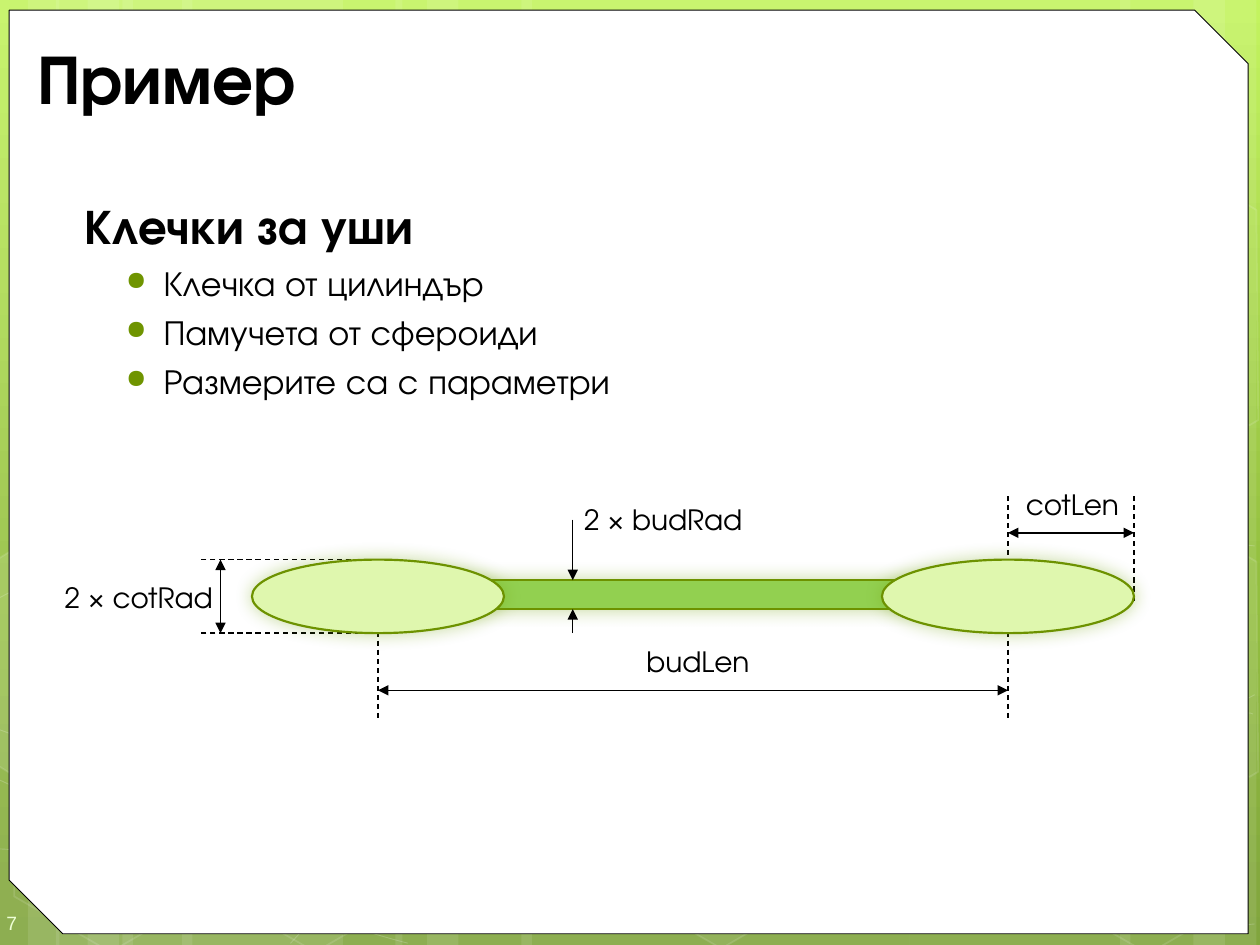
import copy
from dataclasses import dataclass
from typing import NamedTuple, Optional

import pptx
import pptx.dml.color
import pptx.enum.dml
import pptx.enum.shapes
import pptx.enum.text
import pptx.oxml.ns
import pptx.util

Pt = pptx.util.Pt
Align = pptx.enum.text.PP_ALIGN
Shape = pptx.enum.shapes.MSO_SHAPE
qn = pptx.oxml.ns.qn


@dataclass(frozen=True)
class Theme:
    font: str = "TeX Gyre Adventor"
    number_font: str = "Arial"
    ink: str = "000000"
    paper: str = "FFFFFF"
    number: str = "EEFFD6"
    bullet: str = "6F9400"
    outline: str = "6D9200"
    glow: str = "74A510"
    stick: str = "92D050"
    cotton: str = "DFF7AE"
    background: tuple = ((0, "C3F35F"), (0.62, "93BF3F"), (1, "81A53E"))
    title_size: float = 40
    heading_size: float = 28
    bullet_size: float = 20
    label_size: float = 16
    number_size: float = 11


class Dimension(NamedTuple):
    start: tuple
    end: tuple
    head: bool = False
    tail: bool = False
    dashed: bool = False


class Label(NamedTuple):
    text: str
    box: tuple
    alignment: Align


class Hexagon(NamedTuple):
    left: float
    top: float
    fill_alpha: Optional[int] = None


class CutHexagon(NamedTuple):
    points: list
    fill_alpha: Optional[int] = None


THEME = Theme()
BANDS = [(70, 126), (-2, 36), (16, 60), (104, 126), (32, 36), (50, 60),
         (520, 126), (682, 36), (640, 60), (298, 222), (226, 36), (244, 60)]
CURVES = [
    [(-3, 485), (36, 487), (75, 489), (129, 488), (183, 487), (249, 486), (322, 479),
     (394, 472), (496, 458), (562, 444), (628, 431), (696, 409), (717, 397)],
    [(-3, 343), (18, 332), (39, 321), (79, 310), (120, 300), (178, 284), (242, 279),
     (306, 274), (384, 273), (463, 279), (542, 284), (674, 307), (717, 312)],
    [(-4, 444), (83, 484), (170, 523), (233, 539)],
    [(-3, 416), (19, 424), (42, 432), (84, 444), (126, 454), (189, 472), (248, 485),
     (309, 497), (384, 510), (444, 517), (503, 525), (568, 528), (606, 530),
     (644, 533), (654, 531), (672, 531), (690, 531), (704, 529), (717, 528)],
    [(166, 539), (179, 525), (192, 510), (210, 498), (227, 485), (251, 470), (271, 460),
     (291, 450), (304, 446), (330, 438), (356, 431), (405, 421), (430, 416),
     (455, 411), (459, 411), (482, 410), (504, 408), (539, 405), (564, 405),
     (588, 404), (630, 405), (630, 405), (646, 405), (662, 405), (678, 405),
     (691, 405), (703, 406), (710, 407), (716, 408), (714, 407), (716, 408)],
]
HEXAGONS = [Hexagon(349, 424, 6), Hexagon(0, 426), Hexagon(117, 426), Hexagon(593, 427)]
LEFT_CUT = [(-2, 320), (6, 315), (61, 347), (60, 410), (6, 442), (-2, 437)]
RIGHT_CUT = [(659, 349), (713, 318), (718, 321), (719, 441), (714, 444), (658, 413)]
CUT_HEXAGONS = [CutHexagon(LEFT_CUT, 10), CutHexagon(RIGHT_CUT, 4),
                CutHexagon([(x, y - 201) for x, y in RIGHT_CUT])]
BULLETS = ["Клечка от цилиндър", "Памучета от сфероиди", "Размерите са с параметри"]
LEFT, RIGHT, LENGTH, RADIUS = 216, 576, 72, 21
TIP, TOP, BOTTOM = RIGHT + LENGTH, 319.8, 319.8 + 2 * RADIUS
STICK_TOP, STICK_HEIGHT = 331.5, 16.6
DIMENSIONS = (
    [Dimension((x, 283.5), (x, 344), dashed=True) for x in (RIGHT, TIP)]
    + [Dimension((LEFT, y), (114, y), dashed=True) for y in (TOP, BOTTOM)]
    + [Dimension((x, 345.5), (x, 412.5), dashed=True) for x in (LEFT, RIGHT)]
    + [Dimension((LEFT, 394.5), (RIGHT, 394.5), True, True),
       Dimension((RIGHT, 304.5), (TIP, 304.5), True, True),
       Dimension((327.3, BOTTOM), (327.3, STICK_TOP + STICK_HEIGHT), tail=True),
       Dimension((327.3, 297), (327.3, STICK_TOP), tail=True),
       Dimension((126, TOP), (126, BOTTOM), True, True)])
LABELS = [Label("budLen", (331.6, 365, 129, 26.6), Align.CENTER),
          Label("cotLen", (545.6, 275, 129, 26.6), Align.CENTER),
          Label("2 × budRad", (321.3, 283.7, 129, 26.6), Align.LEFT),
          Label("2 × cotRad", (12.2, 328.3, 116.6, 26.6), Align.RIGHT)]


def color(value: str):
    return pptx.dml.color.RGBColor.from_string(value)


def child(parent, tag: str, **attributes):
    node = parent.makeelement(qn(tag), attributes)
    parent.append(node)
    return node


def paint(fill, value: Optional[str], alpha: Optional[int]) -> None:
    if value is None:
        fill.background()
        return
    fill.solid()
    fill.fore_color.rgb = color(value)
    if alpha is not None:
        solid = fill._xPr.find(qn("a:solidFill"))
        child(solid[0], "a:alpha", val=str(alpha * 1000))


def style(shape, fill, line, width=1.0, fill_alpha=None, line_alpha=None) -> None:
    shape.shadow.inherit = False
    paint(shape.fill, fill, fill_alpha)
    paint(shape.line.fill, line, line_alpha)
    if line:
        shape.line.width = Pt(width)


def add_shape(slide, kind, *box: float):
    return slide.shapes.add_shape(kind, *map(Pt, box))


def add_outline(slide, points: list, close: bool):
    scaled = [(Pt(x), Pt(y)) for x, y in points]
    builder = slide.shapes.build_freeform(*scaled[0])
    builder.add_line_segments(scaled[1:], close=close)
    return builder.convert_to_shape()


def add_curve(slide, knots: list) -> None:
    shape = add_outline(slide, knots, False)
    path = shape._element.find(".//" + qn("a:path"))
    segments = path.findall(qn("a:lnTo"))
    for start in range(0, len(segments), 3):
        cubic = child(path, "a:cubicBezTo")
        for segment in segments[start:start + 3]:
            cubic.append(segment[0])
            path.remove(segment)
    style(shape, None, THEME.paper, 0.5, line_alpha=20)


def add_glowing(slide, kind, fill: str, *box: float) -> None:
    shape = add_shape(slide, kind, *box)
    style(shape, fill, THEME.outline, 1.25)
    effects = shape._element.spPr.find(qn("a:effectLst"))
    shadow = child(effects, "a:outerShdw", blurRad=str(Pt(10)), dist="0", dir="2700000",
                   algn="ctr", rotWithShape="0")
    child(child(shadow, "a:srgbClr", val=THEME.glow), "a:alpha", val="40000")


def add_dimension(slide, dimension: Dimension) -> None:
    connector = slide.shapes.add_connector(
        pptx.enum.shapes.MSO_CONNECTOR.STRAIGHT, *map(Pt, dimension.start + dimension.end))
    connector.line.color.rgb = color(THEME.ink)
    connector.line.width = Pt(0.75)
    if dimension.dashed:
        connector.line.dash_style = pptx.enum.dml.MSO_LINE.DASH
    for tag, shown in (("a:headEnd", dimension.head), ("a:tailEnd", dimension.tail)):
        if shown:
            child(connector.line._get_or_add_ln(), tag, type="triangle")
    child(connector._element.spPr, "a:effectLst")


def set_font(paragraph, size: float, bold=False, name=THEME.font, value=THEME.ink) -> None:
    font = paragraph.font
    font.name, font.size, font.bold = name, Pt(size), bold
    font.color.rgb = color(value)


def add_text(slide, *box: float):
    frame = slide.shapes.add_textbox(*map(Pt, box)).text_frame
    frame.word_wrap = True
    return frame


def indent(paragraph, margin: float, first: float = 0):
    properties = paragraph._p.get_or_add_pPr()
    properties.set("marL", str(Pt(margin)))
    properties.set("indent", str(Pt(first)))
    return properties


def add_label(slide, label: Label) -> None:
    paragraph = add_text(slide, *label.box).paragraphs[0]
    paragraph.text, paragraph.alignment = label.text, label.alignment
    indent(paragraph, 5.4)
    set_font(paragraph, THEME.label_size)


def add_background(slide) -> None:
    fill = slide.background.fill
    fill.gradient()
    fill.gradient_angle = 270
    stops = slide.element.find(".//" + qn("a:gsLst"))
    stops.append(copy.deepcopy(stops[-1]))
    for stop, (position, value) in zip(fill.gradient_stops, THEME.background):
        stop.position, stop.color.rgb = position, color(value)
    for left, width in BANDS:
        style(add_shape(slide, Shape.RECTANGLE, left, 0, width, 540), THEME.paper, None,
              fill_alpha=10)
    for knots in CURVES:
        add_curve(slide, knots)
    for hexagon in HEXAGONS:
        shape = add_shape(slide, Shape.HEXAGON, hexagon.left, hexagon.top, 126, 109.5)
        shape.rotation, shape.adjustments[0] = 30, 0.285
        style(shape, hexagon.fill_alpha and THEME.paper, THEME.paper, 1, hexagon.fill_alpha, 12)
    for cut in CUT_HEXAGONS:
        style(add_outline(slide, cut.points, True), cut.fill_alpha and THEME.paper,
              THEME.paper, 1, cut.fill_alpha, 12)
    panel = add_shape(slide, Shape.SNIP_2_DIAG_RECTANGLE, 5.25, 5.8, 708, 527.8)
    panel.adjustments[0], panel.adjustments[1] = 0, 0.058
    style(panel, THEME.paper, THEME.ink, 0.5)


def add_number(slide) -> None:
    frame = add_text(slide, 0, 511, 42, 29)
    frame.margin_left, frame.margin_top, frame.margin_right, frame.margin_bottom = map(
        Pt, (3.6, 10.8, 0, 7.2))
    frame.vertical_anchor = pptx.enum.text.MSO_ANCHOR.MIDDLE
    frame.text = "7"
    set_font(frame.paragraphs[0], THEME.number_size, False, THEME.number_font, THEME.number)


def add_title(slide) -> None:
    title = slide.shapes.title
    title.element.getparent().append(title.element)
    title.left, title.top, title.width, title.height = map(Pt, (14, 18, 682, 51))
    frame = title.text_frame
    frame.text = "Пример"
    frame.auto_size = pptx.enum.text.MSO_AUTO_SIZE.NONE
    frame.vertical_anchor = pptx.enum.text.MSO_ANCHOR.MIDDLE
    frame.paragraphs[0].alignment = Align.LEFT
    set_font(frame.paragraphs[0], THEME.title_size, True)


def add_body(slide) -> None:
    frame = add_text(slide, 36, 108, 678, 426)
    heading = frame.paragraphs[0]
    heading.text = "Клечки за уши"
    indent(heading, 5.4)
    set_font(heading, THEME.heading_size, True)
    for text in BULLETS:
        paragraph = frame.add_paragraph()
        paragraph.text, paragraph.level, paragraph.space_before = text, 1, Pt(4)
        properties = indent(paragraph, 50.4, -21.6)
        child(child(properties, "a:buClr"), "a:srgbClr", val=THEME.bullet)
        child(properties, "a:buSzPct", val="75000")
        child(properties, "a:buChar", char="●")
        set_font(paragraph, THEME.bullet_size)


def main() -> None:
    presentation = pptx.Presentation()
    presentation.slide_width, presentation.slide_height = Pt(720), Pt(540)
    slide = presentation.slides.add_slide(presentation.slide_layouts[5])
    add_background(slide)
    add_number(slide)
    add_title(slide)
    add_body(slide)
    add_glowing(slide, Shape.RECTANGLE, THEME.stick, LEFT, STICK_TOP, RIGHT - LEFT, STICK_HEIGHT)
    guides = [dimension for dimension in DIMENSIONS if dimension.dashed]
    for guide in guides:
        add_dimension(slide, guide)
    for center in (LEFT, RIGHT):
        add_glowing(slide, Shape.OVAL, THEME.cotton, center - LENGTH, TOP, 2 * LENGTH, 2 * RADIUS)
    for arrow in DIMENSIONS[len(guides):]:
        add_dimension(slide, arrow)
    for label in LABELS:
        add_label(slide, label)
    presentation.save("out.pptx")


if __name__ == "__main__":
    main()
